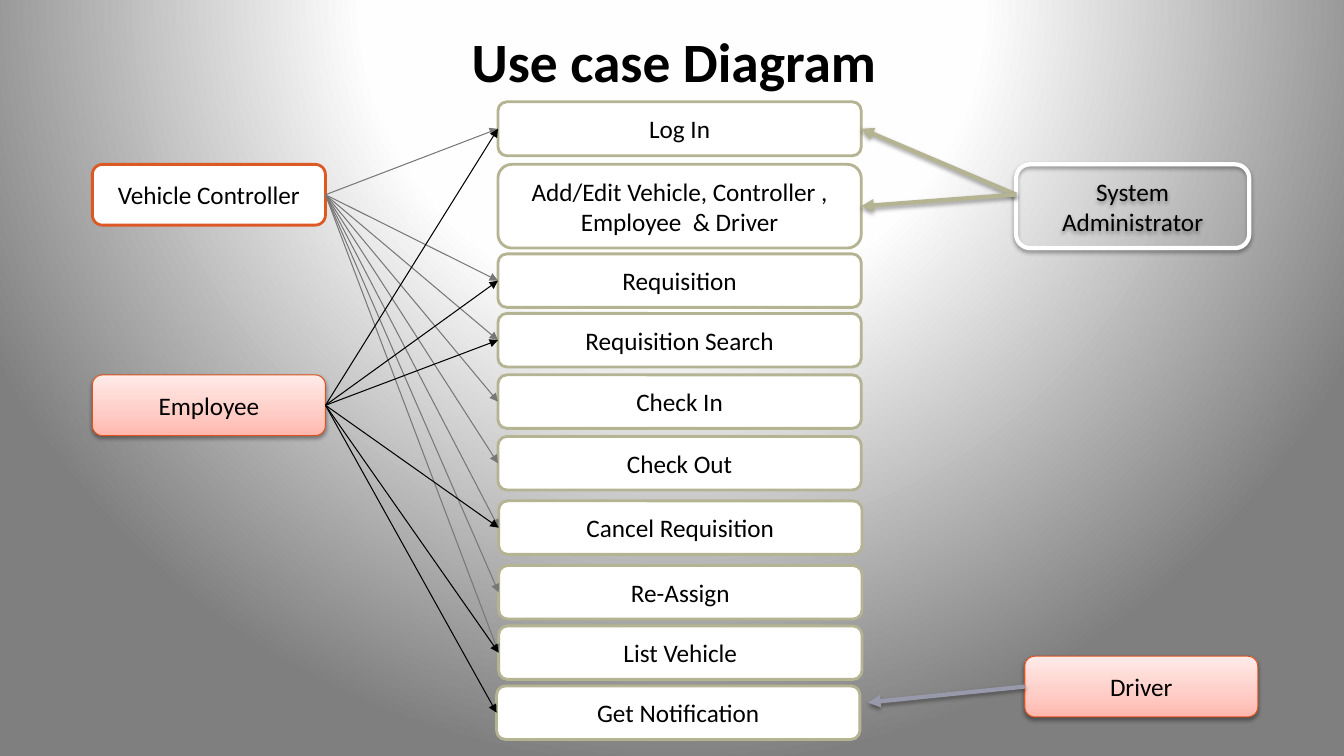
from copy import deepcopy
from dataclasses import dataclass

from pptx import Presentation
from pptx.dml.color import RGBColor
from pptx.enum.shapes import MSO_CONNECTOR, MSO_SHAPE
from pptx.enum.text import MSO_ANCHOR, PP_ALIGN
from pptx.oxml import parse_xml
from pptx.oxml.ns import nsdecls
from pptx.util import Pt


@dataclass(frozen=True)
class Theme:
    font: str = "Calibri"
    title_size: float = 39.6
    body_size: float = 18
    text: str = "000000"
    white: str = "FFFFFF"
    olive: str = "B4B392"
    orange: str = "DC5924"
    rust: str = "DC551F"
    gray: str = "777777"
    slate: str = "989AAC"
    backdrop: tuple = ((0, "FFFFFF"), (0.4, "FEFEFE"), (1, "7F7F7F"))
    blush: tuple = ((0, "FFB7AD"), (0.35, "FFCCC5"), (1, "FFEBE9"))


theme = Theme()
SHADOW = (
    f'<a:outerShdw {nsdecls("a")} blurRad="39370" dist="21590" dir="5400000" rotWithShape="0">'
    '<a:srgbClr val="000000"><a:alpha val="37000"/></a:srgbClr></a:outerShdw>'
)
RIGHT_SITE, LEFT_SITE = 3, 1


def fill_gradient(fill, stops):
    fill.gradient()
    last_stop = fill.gradient_stops[1]._gs
    last_stop.addprevious(deepcopy(last_stop))
    for stop, (position, color) in zip(fill.gradient_stops, stops):
        stop.position = position
        stop.color.rgb = RGBColor.from_string(color)
    return last_stop.getparent()


def add_arrow(start, end, color, weight, shadowed):
    connector = slide.shapes.add_connector(
        MSO_CONNECTOR.STRAIGHT, *(Pt(value) for value in start + end)
    )
    connector.line.color.rgb = RGBColor.from_string(color)
    connector.line.width = Pt(weight)
    connector.line._get_or_add_ln().append(
        parse_xml(f'<a:tailEnd {nsdecls("a")} type="triangle"/>')
    )
    effects = parse_xml(f'<a:effectLst {nsdecls("a")}/>')
    if shadowed:
        effects.append(parse_xml(SHADOW))
    connector._element.spPr.append(effects)
    return connector


presentation = Presentation()
presentation.slide_width = Pt(960)
presentation.slide_height = Pt(540)
slide = presentation.slides.add_slide(presentation.slide_layouts[6])

backdrop_stops = fill_gradient(slide.background.fill, theme.backdrop)
direction = backdrop_stops.getnext()
direction.getparent().replace(direction, parse_xml(
    f'<a:path {nsdecls("a")} path="circle">'
    '<a:fillToRect l="50000" t="-80000" r="50000" b="180000"/></a:path>'
))

title = slide.shapes.add_textbox(Pt(66), Pt(18.7), Pt(831), Pt(49))
title.text_frame.word_wrap = True
title.text_frame.vertical_anchor = MSO_ANCHOR.MIDDLE
paragraph = title.text_frame.paragraphs[0]
paragraph.alignment = PP_ALIGN.CENTER
run = paragraph.add_run()
run.text = "Use case Diagram"
run.font.name = theme.font
run.font.size = Pt(theme.title_size)
run.font.bold = True
run.font.color.rgb = RGBColor.from_string(theme.text)

use_cases = [
    ("Log In", 355.7, 72.7, 38.6),
    ("Add/Edit Vehicle, Controller , Employee  & Driver", 355.7, 117.4, 59.8),
    ("Requisition", 355.7, 181.4, 38.2),
    ("Requisition Search", 355.7, 223.9, 38.2),
    ("Check In", 355.7, 267.8, 38.2),
    ("Check Out", 355.7, 311.8, 38.2),
    ("Cancel Requisition", 356.2, 357.8, 38.2),
    ("Re-Assign", 356.2, 404, 38.2),
    ("List Vehicle", 356.2, 447.1, 38.2),
    ("Get Notification", 354.7, 490, 38.2),
]
boxes = [
    (name, left, top, 259.5, height, theme.white, theme.olive, 2, False)
    for name, left, top, height in use_cases
] + [
    ("Vehicle Controller", 66, 117.4, 166.5, 43.4, theme.white, theme.orange, 2, False),
    ("Employee", 66, 267.8, 166.5, 43.4, theme.blush, theme.rust, 0.75, True),
    ("Driver", 732, 468.7, 166.5, 43.4, theme.blush, theme.rust, 0.75, True),
    ("System Administrator", 725.8, 117.4, 166.5, 59.8, None, theme.white, 3, True),
]

shapes = {}
for name, left, top, width, height, fill, line, weight, shadowed in boxes:
    shape = slide.shapes.add_shape(
        MSO_SHAPE.ROUNDED_RECTANGLE, Pt(left), Pt(top), Pt(width), Pt(height)
    )
    shapes[name] = shape
    if fill is None:
        shape.fill.background()
    elif fill == theme.blush:
        fill_gradient(shape.fill, fill)
        shape.fill.gradient_angle = 90
    else:
        shape.fill.solid()
        shape.fill.fore_color.rgb = RGBColor.from_string(fill)
    shape.line.color.rgb = RGBColor.from_string(line)
    shape.line.width = Pt(weight)
    shape.shadow.inherit = False
    if shadowed:
        shape._element.spPr.effectLst.append(parse_xml(SHADOW))
    shape.text_frame.word_wrap = True
    shape.text_frame.vertical_anchor = MSO_ANCHOR.MIDDLE
    paragraph = shape.text_frame.paragraphs[0]
    paragraph.alignment = PP_ALIGN.CENTER
    run = paragraph.add_run()
    run.text = name
    run.font.name = theme.font
    run.font.size = Pt(theme.body_size)
    run.font.color.rgb = RGBColor.from_string(theme.text)

actor_links = [
    ("Vehicle Controller", theme.gray, [
        "Log In", "Requisition", "Requisition Search", "Check In", "Check Out",
        "Cancel Requisition", "Re-Assign", "List Vehicle",
    ]),
    ("Employee", theme.text, [
        "Log In", "Requisition", "Requisition Search", "Cancel Requisition",
        "List Vehicle", "Get Notification",
    ]),
]
for actor, color, targets in actor_links:
    for target in targets:
        connector = add_arrow((0, 0), (0, 0), color, 0.75, False)
        connector.begin_connect(shapes[actor], RIGHT_SITE)
        connector.end_connect(shapes[target], LEFT_SITE)

for target in ("Log In", "Add/Edit Vehicle, Controller , Employee  & Driver"):
    connector = add_arrow((725.8, 139), (0, 0), theme.olive, 3, True)
    connector.end_connect(shapes[target], RIGHT_SITE)

connector = add_arrow((0, 0), (620, 501.8), theme.slate, 3, True)
connector.begin_connect(shapes["Driver"], LEFT_SITE)

presentation.save("out.pptx")
